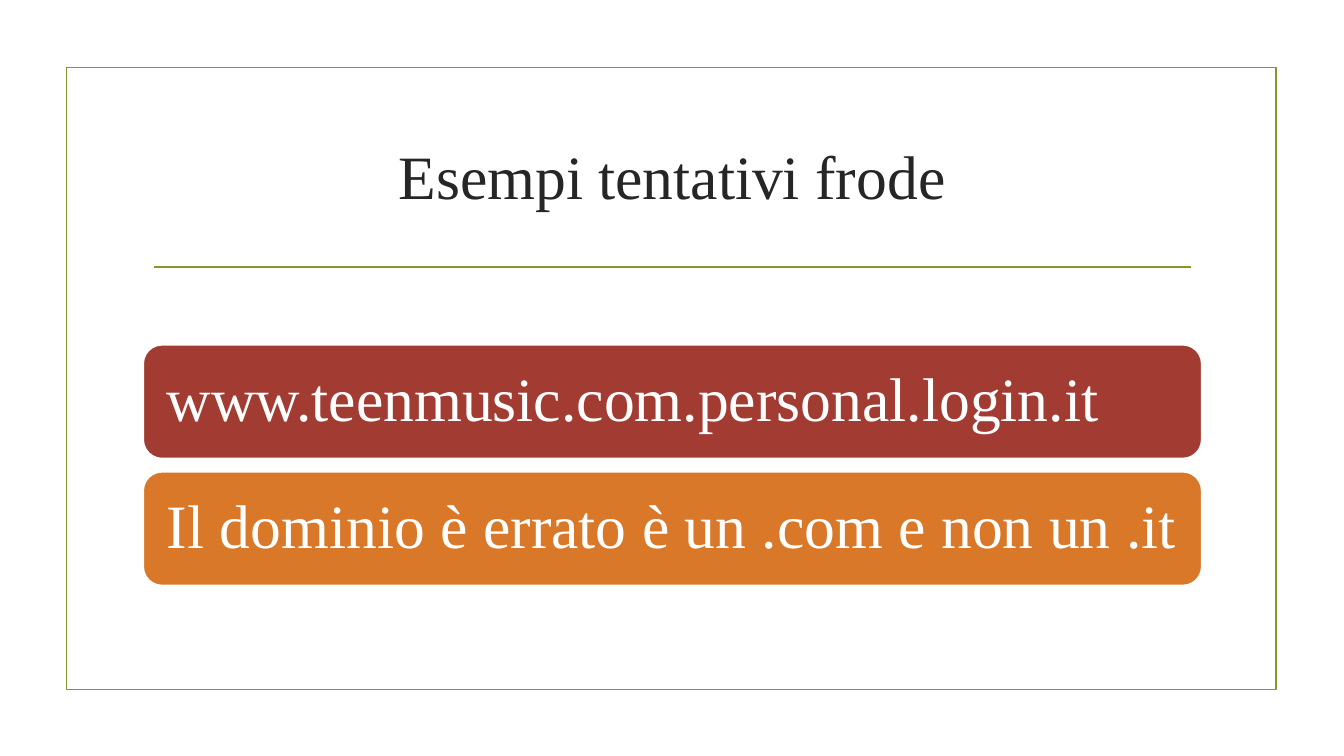
from dataclasses import dataclass

from pptx import Presentation
from pptx.dml.color import RGBColor
from pptx.enum.shapes import MSO_CONNECTOR, MSO_SHAPE
from pptx.enum.text import MSO_ANCHOR, MSO_AUTO_SIZE, PP_ALIGN
from pptx.oxml.ns import qn
from pptx.util import Inches, Pt
from lxml.etree import SubElement


@dataclass(frozen=True)
class Theme:
    font: str = "Times New Roman"
    size: int = 44
    line_width: float = 1.25
    ink: str = "262626"
    accent: str = "83992A"
    white: str = "FFFFFF"
    red: str = "A23C33"
    orange: str = "D97828"


THEME = Theme()


def rgb(value):
    return RGBColor.from_string(value)


def style_line(line, color):
    line.color.rgb = rgb(color)
    line.width = Pt(THEME.line_width)


def set_text(tf, text, color, align):
    tf.text = text
    tf.word_wrap = True
    tf.auto_size = MSO_AUTO_SIZE.NONE
    tf.vertical_anchor = MSO_ANCHOR.MIDDLE
    p = tf.paragraphs[0]
    p.alignment = align
    p.line_spacing = 0.9
    font = p.runs[0].font
    font.name = THEME.font
    font.size = Pt(THEME.size)
    font.color.rgb = rgb(color)


def add_frame(s, left, top, width, height):
    sp = s.shapes.add_shape(
        MSO_SHAPE.RECTANGLE, Inches(left), Inches(top), Inches(width), Inches(height)
    )
    sp.shadow.inherit = False
    sp.fill.background()
    style_line(sp.line, THEME.accent)


def add_heading(s, text, left, top, width, height):
    title = s.shapes.title
    title.left, title.top = Inches(left), Inches(top)
    title.width, title.height = Inches(width), Inches(height)
    set_text(title.text_frame, text, THEME.ink, PP_ALIGN.CENTER)

    inset, gap = 0.11, 0.15
    y = Inches(top + height + gap)
    rule = s.shapes.add_connector(
        MSO_CONNECTOR.STRAIGHT, Inches(left + inset), y, Inches(left + width - inset), y
    )
    style_line(rule.line, THEME.accent)
    SubElement(rule._element.spPr, qn("a:effectLst"))


def add_banners(s, banners, left, top, width, height, gap):
    banner_height = (height - gap * (len(banners) - 1)) / len(banners)
    for i, (text, color) in enumerate(banners):
        y = top + i * (banner_height + gap)
        sp = s.shapes.add_shape(
            MSO_SHAPE.ROUNDED_RECTANGLE,
            Inches(left), Inches(y), Inches(width), Inches(banner_height),
        )
        sp.shadow.inherit = False
        sp.fill.solid()
        sp.fill.fore_color.rgb = rgb(color)
        style_line(sp.line, THEME.white)
        tf = sp.text_frame
        set_text(tf, text, THEME.white, PP_ALIGN.LEFT)
        tf.margin_left = Inches(0.18)
        tf.margin_right = Inches(0.1)


def main():
    prs = Presentation()
    prs.slide_width, prs.slide_height = Inches(13.33), Inches(7.5)
    s = prs.slides.add_slide(prs.slide_layouts[5])
    add_frame(s, 0.66, 0.67, 12, 6.17)
    add_heading(s, "Esempi tentativi frode", 1.42, 1.07, 10.5, 1.43)
    banners = [
        ("www.teenmusic.com.personal.login.it", THEME.red),
        ("Il dominio è errato è un .com e non un .it", THEME.orange),
    ]
    add_banners(s, banners, 1.42, 3.42, 10.5, 2.39, 0.13)
    prs.save("out.pptx")


if __name__ == "__main__":
    main()
